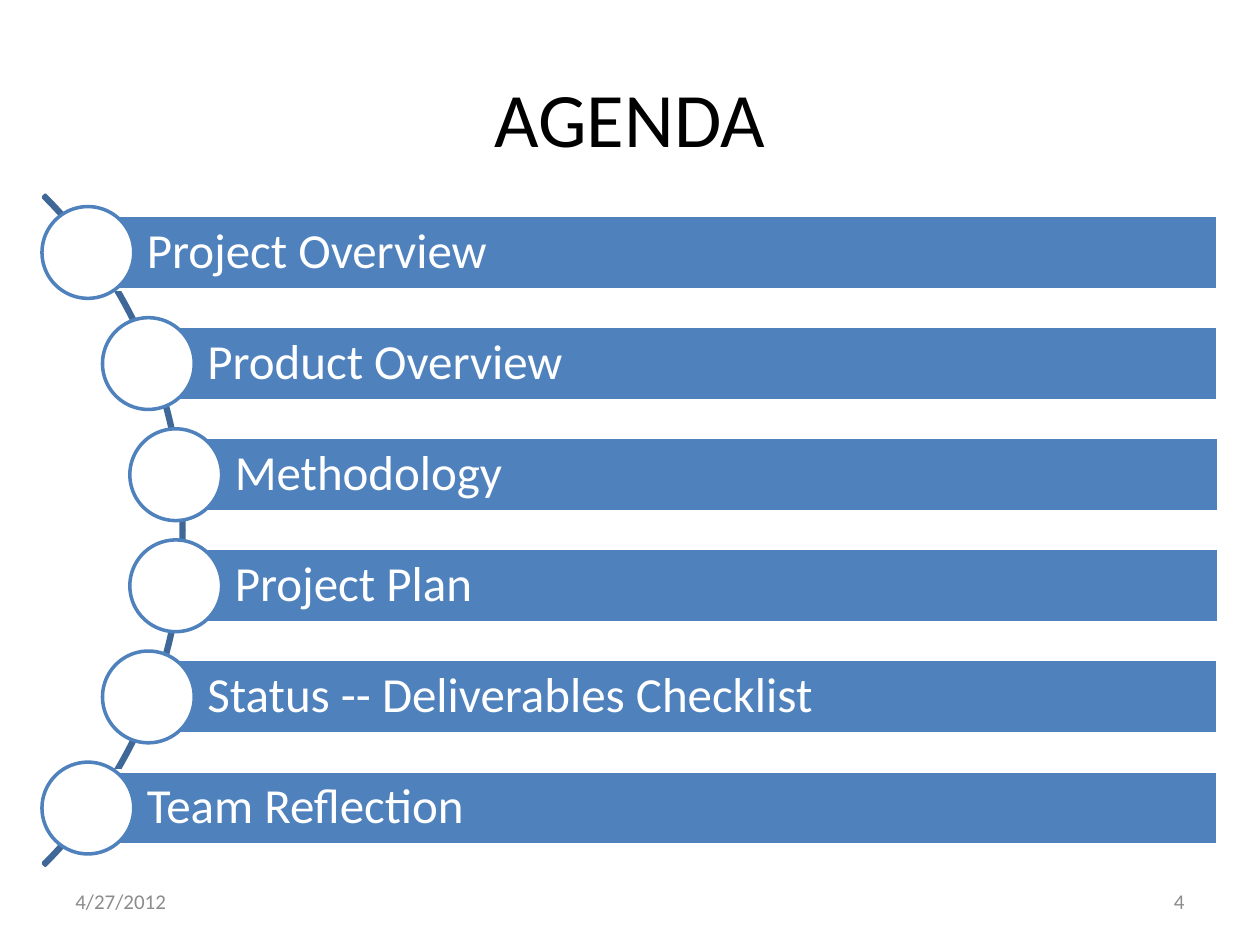
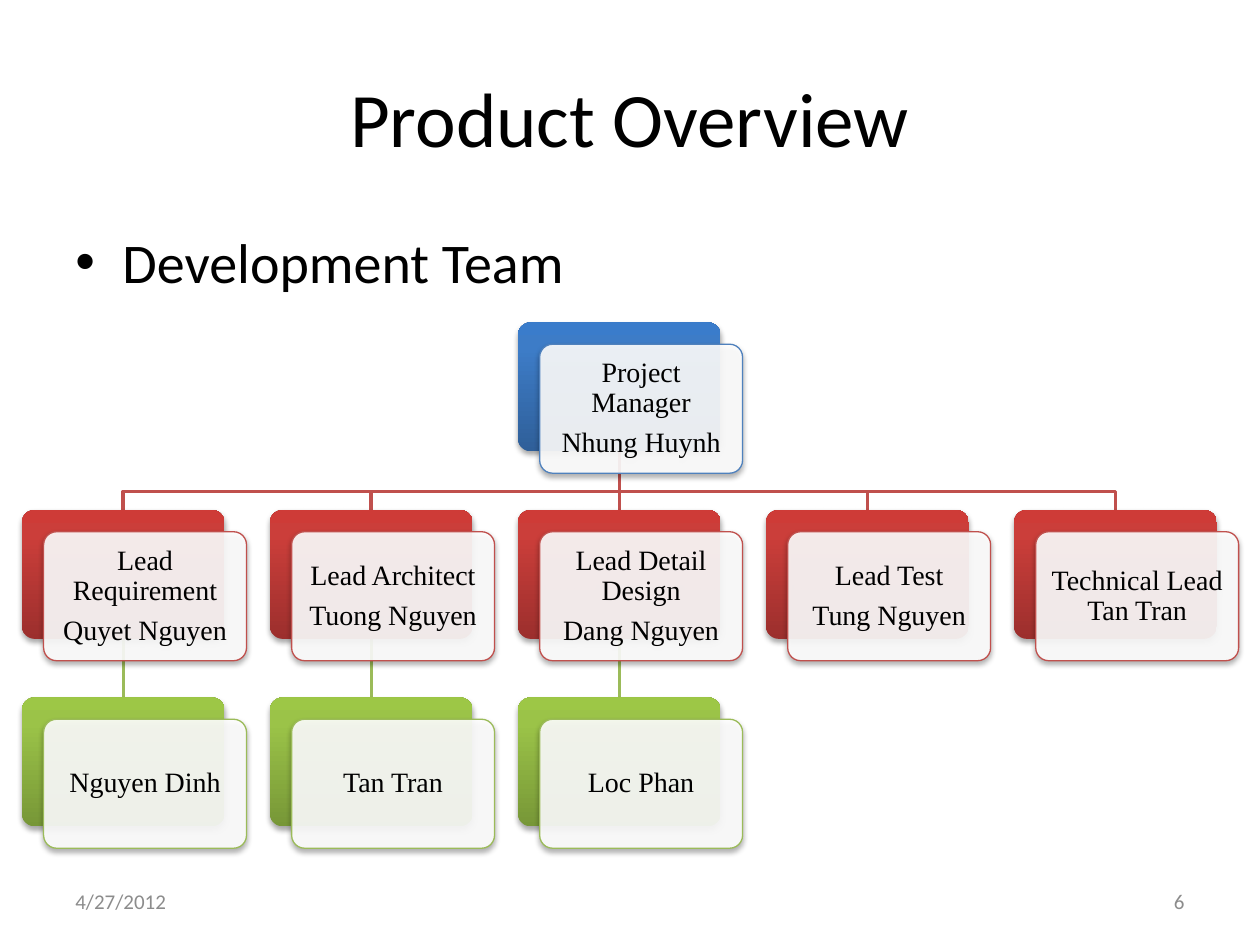
from copy import deepcopy
from math import sqrt

from lxml import etree
from pptx import Presentation
from pptx import util as u
from pptx.dml.color import RGBColor
from pptx.enum import shapes, text
from pptx.oxml.ns import qn

DATE = "4/27/2012"
SANS, SERIF = "Calibri", "Times New Roman"
BLACK, WHITE, GREY = "000000", "FFFFFF", "8C8C8C"
BLUE, RED, GREEN, ARC_BLUE = "4F81BD", "C0504D", "9BBB59", "3F6797"

TOPICS = [
    "Project Overview",
    "Product Overview",
    "Methodology",
    "Project Plan",
    "Status -- Deliverables Checklist",
    "Team Reflection",
]

TEAM = [
    {2: "Project Manager\nNhung Huynh"},
    {
        0: "Lead Requirement\nQuyet Nguyen",
        1: "Lead Architect\nTuong Nguyen",
        2: "Lead Detail Design\nDang Nguyen",
        3: "Lead Test\nTung Nguyen",
        4: "Technical Lead Tan Tran",
    },
    {0: "Nguyen Dinh", 1: "Tan Tran", 2: "Loc Phan"},
]
LEVEL_LINES = [BLUE, RED, GREEN]
LEVEL_GRADIENTS = [
    ["2F5F99", "3D7CC7", "3A7CCB"],
    ["9C2F2D", "CB3E3A", "CE3B37"],
    ["779737", "9BC348", "9DC746"],
]
GRADIENT_POSITIONS = [0, 0.8, 1]

ARC_SIZE, ARC_X, ARC_Y = 19.1, -5.84, 10.69
ORBIT, TOPIC_PITCH = 9.45, 2.24
BAR_RIGHT, BAR_HEIGHT, DOT = 24.56, 1.5, 1.85

CHART_LEFT, CHART_TOP = 0.44, 6.5
COLUMN_PITCH, LEVEL_PITCH = 5, 3.78
CARD_WIDTH, CARD_HEIGHT, CARD_SHIFT = 4.09, 2.6, 0.44
ELBOW_RISE = 0.37

LEFT, CENTER, RIGHT = text.PP_ALIGN.LEFT, text.PP_ALIGN.CENTER, text.PP_ALIGN.RIGHT
PRESET = shapes.MSO_SHAPE


def rgb(value):
    return RGBColor.from_string(value)


def cm(*lengths):
    return [u.Cm(length) for length in lengths]


def write(shape, words, size, color, font=SANS, align=LEFT, insets=(0.25, 0.13, 0.25, 0.13),
          anchor=text.MSO_ANCHOR.MIDDLE, line_spacing=1, gap=0):
    frame = shape.text_frame
    frame.text = words
    frame.word_wrap = True
    frame.vertical_anchor = anchor
    frame.margin_left, frame.margin_top, frame.margin_right, frame.margin_bottom = cm(*insets)
    for paragraph in frame.paragraphs:
        paragraph.alignment = align
        paragraph.line_spacing = line_spacing
        for run in paragraph.runs:
            run.font.size = u.Pt(size)
            run.font.name = font
            run.font.color.rgb = rgb(color)
    for paragraph in frame.paragraphs[:-1]:
        paragraph.space_after = u.Pt(gap)


def add_text(slide, box, words, size, color, **style):
    label = slide.shapes.add_textbox(*cm(*box))
    write(label, words, size, color, **style)
    return label


def outline(shape, color, width):
    shape.line.color.rgb = rgb(color)
    shape.line.width = u.Pt(width)


def add_preset(slide, preset, box, fill=None, line=None, width=2):
    shape = slide.shapes.add_shape(preset, *cm(*box))
    shape.shadow.inherit = False
    if fill:
        shape.fill.solid()
        shape.fill.fore_color.rgb = rgb(fill)
    if line:
        outline(shape, line, width)
    else:
        shape.line.fill.background()
    return shape


def add_shadow(shape):
    effects = shape.element.spPr.find(qn("a:effectLst"))
    shadow = etree.SubElement(effects, qn("a:outerShdw"), blurRad="40000", dist="23000",
                              dir="5400000", rotWithShape="0")
    tone = etree.SubElement(shadow, qn("a:srgbClr"), val=BLACK)
    etree.SubElement(tone, qn("a:alpha"), val="35000")


def add_gradient(shape, colors):
    shape.fill.gradient()
    shape.fill.gradient_angle = 90
    stop_list = shape.element.spPr.find(".//" + qn("a:gsLst"))
    stop_list.append(deepcopy(stop_list[0]))
    for stop, position, color in zip(shape.fill.gradient_stops, GRADIENT_POSITIONS, colors):
        stop.position = position
        stop.color.rgb = rgb(color)


def start_slide(deck, title, number):
    slide = deck.slides.add_slide(deck.slide_layouts[6])
    add_text(slide, (1.27, 0.76, 22.86, 3.18), title, 44, BLACK, align=CENTER)
    add_text(slide, (1.27, 17.65, 5.92, 1.02), DATE, 12, GREY)
    add_text(slide, (18.21, 17.65, 5.92, 1.02), number, 12, GREY, align=RIGHT)
    return slide


def add_agenda(deck):
    slide = start_slide(deck, "AGENDA", "4")
    arc = add_preset(slide, PRESET.BLOCK_ARC,
                     (ARC_X - ARC_SIZE / 2, ARC_Y - ARC_SIZE / 2, ARC_SIZE, ARC_SIZE),
                     line=ARC_BLUE)
    arc.fill.background()
    for index, value in enumerate((189, 27, 0.003)):
        arc.adjustments[index] = value
    for row, topic in enumerate(TOPICS):
        drop = (row - (len(TOPICS) - 1) / 2) * TOPIC_PITCH
        x, y = ARC_X + sqrt(ORBIT ** 2 - drop ** 2), ARC_Y + drop
        bar = add_preset(slide, PRESET.RECTANGLE,
                         (x, y - BAR_HEIGHT / 2, BAR_RIGHT - x, BAR_HEIGHT), BLUE, WHITE)
        write(bar, topic, 28, WHITE, insets=(1.19, 0.2, 0.2, 0.2), line_spacing=0.9)
        add_preset(slide, PRESET.OVAL, (x - DOT / 2, y - DOT / 2, DOT, DOT), WHITE, BLUE)


def card_corner(level, column):
    return CHART_LEFT + column * COLUMN_PITCH, CHART_TOP + level * LEVEL_PITCH


def add_branch(slide, level, column):
    parent = column if column in TEAM[level - 1] else 2
    parent_left, parent_top = card_corner(level - 1, parent)
    left, bottom = card_corner(level, column)
    start_x, end_x = parent_left + CARD_WIDTH / 2, left + CARD_WIDTH / 2
    top = parent_top + CARD_HEIGHT
    if parent == column:
        branch = slide.shapes.add_connector(shapes.MSO_CONNECTOR.STRAIGHT,
                                            *cm(start_x, top, end_x, bottom))
        etree.SubElement(branch.element.spPr, qn("a:effectLst"))
    else:
        turn = bottom - ELBOW_RISE
        route = slide.shapes.build_freeform(*cm(start_x, top))
        route.add_line_segments([cm(start_x, turn), cm(end_x, turn), cm(end_x, bottom)],
                                close=False)
        branch = route.convert_to_shape()
        branch.fill.background()
        branch.shadow.inherit = False
    outline(branch, LEVEL_LINES[level], 2)


def add_card(slide, level, column, person):
    left, top = card_corner(level, column)
    back = add_preset(slide, PRESET.ROUNDED_RECTANGLE, (left, top, CARD_WIDTH, CARD_HEIGHT))
    add_gradient(back, LEVEL_GRADIENTS[level])
    front = add_preset(slide, PRESET.ROUNDED_RECTANGLE,
                       (left + CARD_SHIFT, top + CARD_SHIFT, CARD_WIDTH, CARD_HEIGHT),
                       WHITE, LEVEL_LINES[level], 0.75)
    tone = front.element.spPr.find(qn("a:solidFill"))[0]
    etree.SubElement(tone, qn("a:alpha"), val="90000")
    for layer in (back, front):
        layer.adjustments[0] = 0.1
        add_shadow(layer)
    write(front, person, 16, BLACK, font=SERIF, align=CENTER, insets=(0.18,) * 4,
          line_spacing=0.9, gap=5.6)


def add_team(deck):
    slide = start_slide(deck, "Product Overview", "6")
    heading = add_text(slide, (1.27, 4.45, 22.86, 13.54), "Development Team", 32, BLACK,
                       anchor=text.MSO_ANCHOR.TOP)
    properties = heading.text_frame.paragraphs[0]._p.get_or_add_pPr()
    properties.set("marL", str(u.Cm(0.95)))
    properties.set("indent", str(u.Cm(-0.95)))
    etree.SubElement(properties, qn("a:buFont"), typeface="Arial")
    etree.SubElement(properties, qn("a:buChar"), char="•")
    seats = [(level, column, person) for level, people in enumerate(TEAM)
             for column, person in people.items()]
    for level, column, _ in seats:
        if level:
            add_branch(slide, level, column)
    for seat in seats:
        add_card(slide, *seat)


def main():
    deck = Presentation()
    deck.slide_width, deck.slide_height = cm(25.4, 19.05)
    add_agenda(deck)
    add_team(deck)
    deck.save("out.pptx")


if __name__ == "__main__":
    main()
